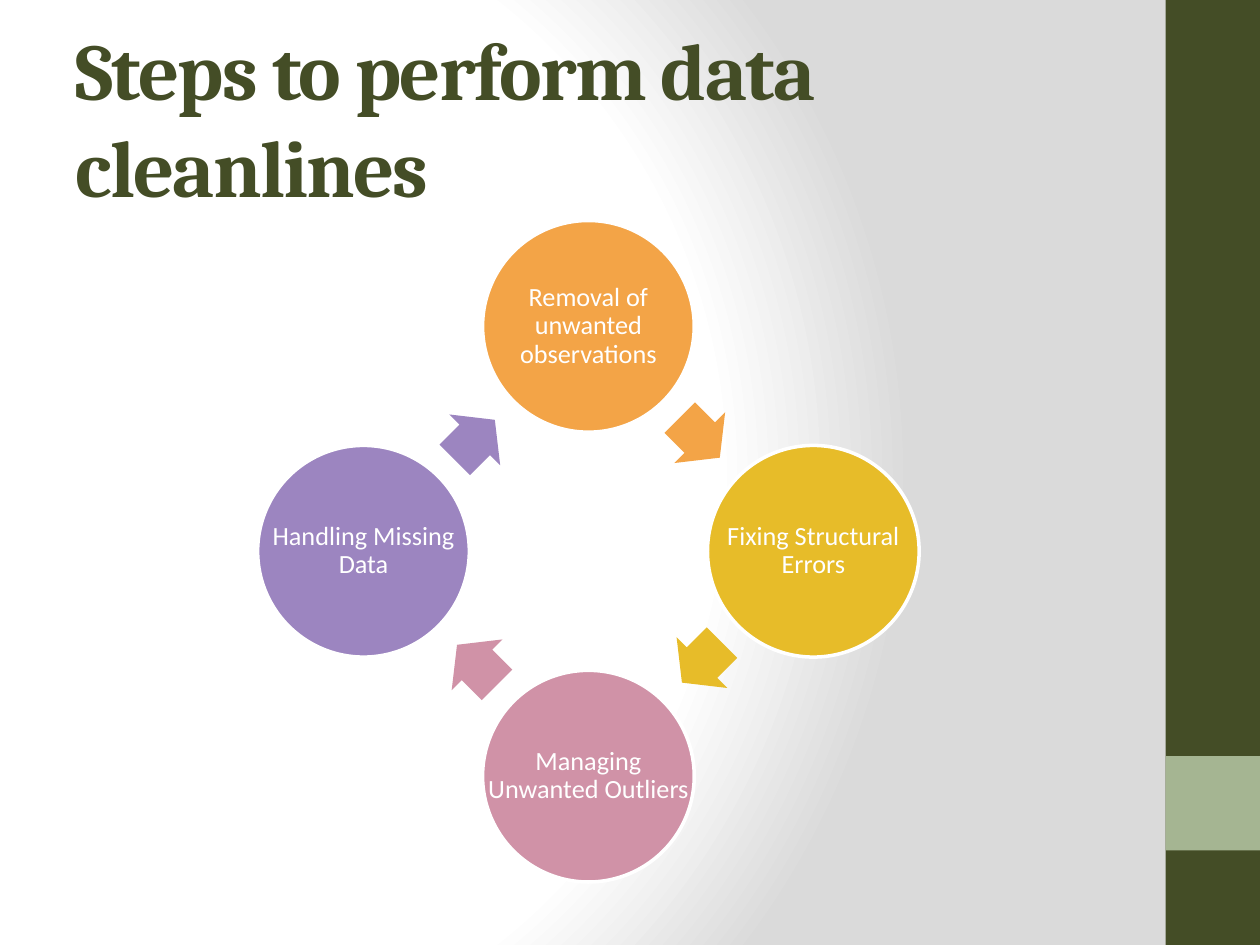
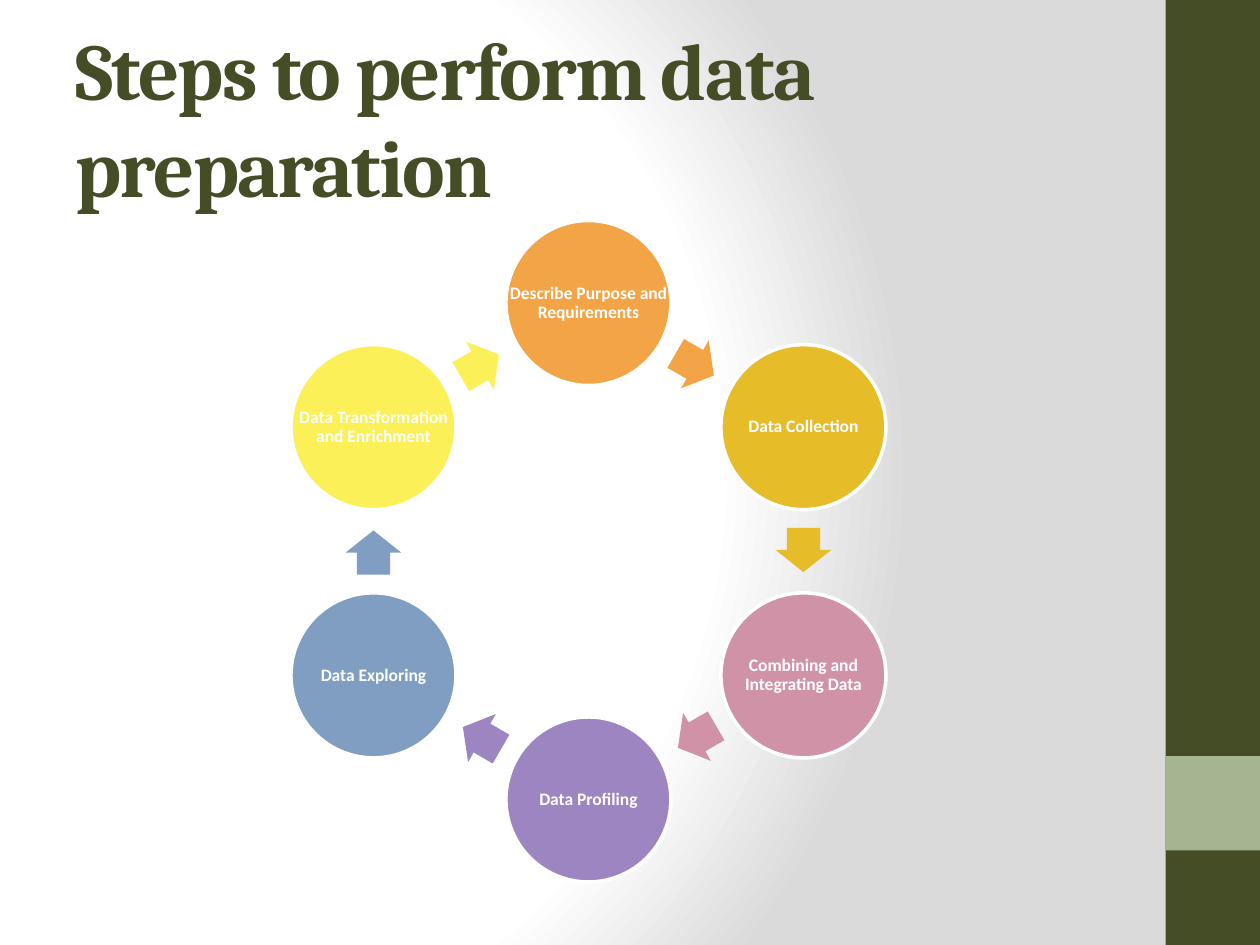
from math import cos, radians, sin

from lxml.etree import SubElement
from pptx import Presentation
from pptx.dml.color import RGBColor
from pptx.enum.shapes import MSO_SHAPE
from pptx.enum.text import MSO_ANCHOR, MSO_AUTO_SIZE, PP_ALIGN
from pptx.oxml.ns import qn
from pptx.util import Inches, Pt

# Content: each cycle runs clockwise from the top
CYCLES = [
    {
        "title": "Steps to perform data cleanlines",
        "steps": [
            ("Removal of unwanted observations", "orange"),
            ("Fixing Structural Errors", "gold"),
            ("Managing Unwanted Outliers", "pink"),
            ("Handling Missing Data", "purple"),
        ],
        "diameter": 1.68, "arrow": (0.45, 0.57),
        "size": 15, "bold": False, "inset": 0.02,
    },
    {
        "title": "Steps to perform data preparation",
        "steps": [
            ("Describe Purpose and Requirements", "orange"),
            ("Data Collection", "gold"),
            ("Combining and Integrating Data", "pink"),
            ("Data Profiling", "purple"),
            ("Data Exploring", "blue"),
            ("Data Transformation and Enrichment", "yellow"),
        ],
        "diameter": 1.31, "arrow": (0.35, 0.44),
        "size": 10, "bold": True, "inset": 0.01,
    },
]

# Shared look
COLORS = {
    "dark": "444D26", "sage": "A5B592", "white": "FFFFFF", "grey": "DADADA",
    "orange": "F3A447", "gold": "E7BC29", "pink": "D092A7",
    "purple": "9C85C0", "blue": "809EC2", "yellow": "FCF059",
}
TITLE_FONT, BODY_FONT = "Cambria", "Calibri"
WIDTH, HEIGHT = 10, 7.5
BAND = WIDTH * 0.075
TITLE_BOX = (0.5, 0.3, 8.33, 1.25)
CENTER_X, CENTER_Y, CYCLE_HEIGHT = 4.67, 4.375, 5.25
ARROW_SHARE = 0.495  # how far along the way to the next step an arrow sits


def color(name):
    return RGBColor.from_string(COLORS[name])


def inches(*lengths):
    return [Inches(length) for length in lengths]


def centered(x, y, width, height):
    return inches(x - width / 2, y - height / 2, width, height)


def add_filled(shapes, kind, box, fill, outline=None):
    shape = shapes.add_shape(kind, *box)
    shape.shadow.inherit = False
    shape.fill.solid()
    shape.fill.fore_color.rgb = color(fill)
    if outline:
        shape.line.color.rgb = color(outline)
        shape.line.width = Pt(2)
    else:
        shape.line.fill.background()
    return shape


def add_run(paragraph, text, font_name, size, bold, fill):
    run = paragraph.add_run()
    run.text = text
    run.font.name = font_name
    run.font.size = Pt(size)
    run.font.bold = bold
    run.font.color.rgb = color(fill)
    return run


def set_background(layout):
    """Circular gradient, white to grey, shared through the layout."""
    layout.background.fill.solid()
    properties = layout._element.find(".//" + qn("p:bgPr"))
    properties.remove(properties.find(qn("a:solidFill")))
    gradient = properties.makeelement(qn("a:gradFill"), {"rotWithShape": "1"})
    properties.insert(0, gradient)
    stops = SubElement(gradient, qn("a:gsLst"))
    for share, name in ((0, "white"), (75, "white"), (100, "grey")):
        stop = SubElement(stops, qn("a:gs"), pos=str(share * 1000))
        SubElement(stop, qn("a:srgbClr"), val=COLORS[name])
    path_element = SubElement(gradient, qn("a:path"), {"path": "circle"})
    SubElement(path_element, qn("a:fillToRect"),
               l="20000", t="50000", r="100000", b="50000")


def add_side_bands(layout, slide):
    """Draw the right-hand bands and move them to the layout."""
    bands = [(0, HEIGHT, "dark"), (HEIGHT * 0.8, BAND, "sage")]
    for index, (top, height, fill) in enumerate(bands):
        box = inches(WIDTH - BAND, top, BAND, height)
        band = add_filled(slide.shapes, MSO_SHAPE.RECTANGLE, box, fill)
        band._element.nvSpPr.cNvPr.set("id", str(100 + index))
        layout.shapes._spTree.insert(2 + index, band._element)


def set_title(slide, text):
    title = slide.shapes.title
    title.left, title.top, title.width, title.height = inches(*TITLE_BOX)
    frame = title.text_frame
    frame.word_wrap = True
    frame.auto_size = MSO_AUTO_SIZE.NONE
    frame.vertical_anchor = MSO_ANCHOR.MIDDLE
    paragraph = frame.paragraphs[0]
    paragraph.alignment = PP_ALIGN.LEFT
    run = add_run(paragraph, text, TITLE_FONT, 46, True, "dark")
    run.font._element.set("spc", "-100")


def add_label(shapes, box, text, cycle):
    frame = shapes.add_textbox(*box).text_frame
    frame.word_wrap = True
    frame.vertical_anchor = MSO_ANCHOR.MIDDLE
    inset = Inches(cycle["inset"])
    frame.margin_left = frame.margin_right = inset
    frame.margin_top = frame.margin_bottom = inset
    paragraph = frame.paragraphs[0]
    paragraph.alignment = PP_ALIGN.CENTER
    paragraph.line_spacing = 0.9
    add_run(paragraph, text, BODY_FONT, cycle["size"], cycle["bold"], "white")


def add_cycle(slide, cycle):
    shapes = slide.shapes.add_group_shape().shapes
    diameter = cycle["diameter"]
    radius = (CYCLE_HEIGHT - diameter) / 2
    turn = 360 / len(cycle["steps"])

    def step_center(index):
        angle = radians(index * turn)
        return CENTER_X + radius * sin(angle), CENTER_Y - radius * cos(angle)

    for index, (text, fill) in enumerate(cycle["steps"]):
        # Circle with its label
        x, y = step_center(index)
        box = centered(x, y, diameter, diameter)
        add_filled(shapes, MSO_SHAPE.OVAL, box, fill, "white")
        add_label(shapes, box, text, cycle)

        # Arrow towards the next circle
        next_x, next_y = step_center(index + 1)
        box = centered(x + (next_x - x) * ARROW_SHARE,
                       y + (next_y - y) * ARROW_SHARE, *cycle["arrow"])
        arrow = add_filled(shapes, MSO_SHAPE.RIGHT_ARROW, box, fill)
        arrow.adjustments[0], arrow.adjustments[1] = 0.6, 0.5
        arrow.rotation = (index + 0.5) * turn


def main():
    presentation = Presentation()
    presentation.slide_width, presentation.slide_height = inches(WIDTH, HEIGHT)
    layout = presentation.slide_layouts[5]
    set_background(layout)
    for index, cycle in enumerate(CYCLES):
        slide = presentation.slides.add_slide(layout)
        if index == 0:
            add_side_bands(layout, slide)
        set_title(slide, cycle["title"])
        add_cycle(slide, cycle)
    presentation.save("out.pptx")


if __name__ == "__main__":
    main()
